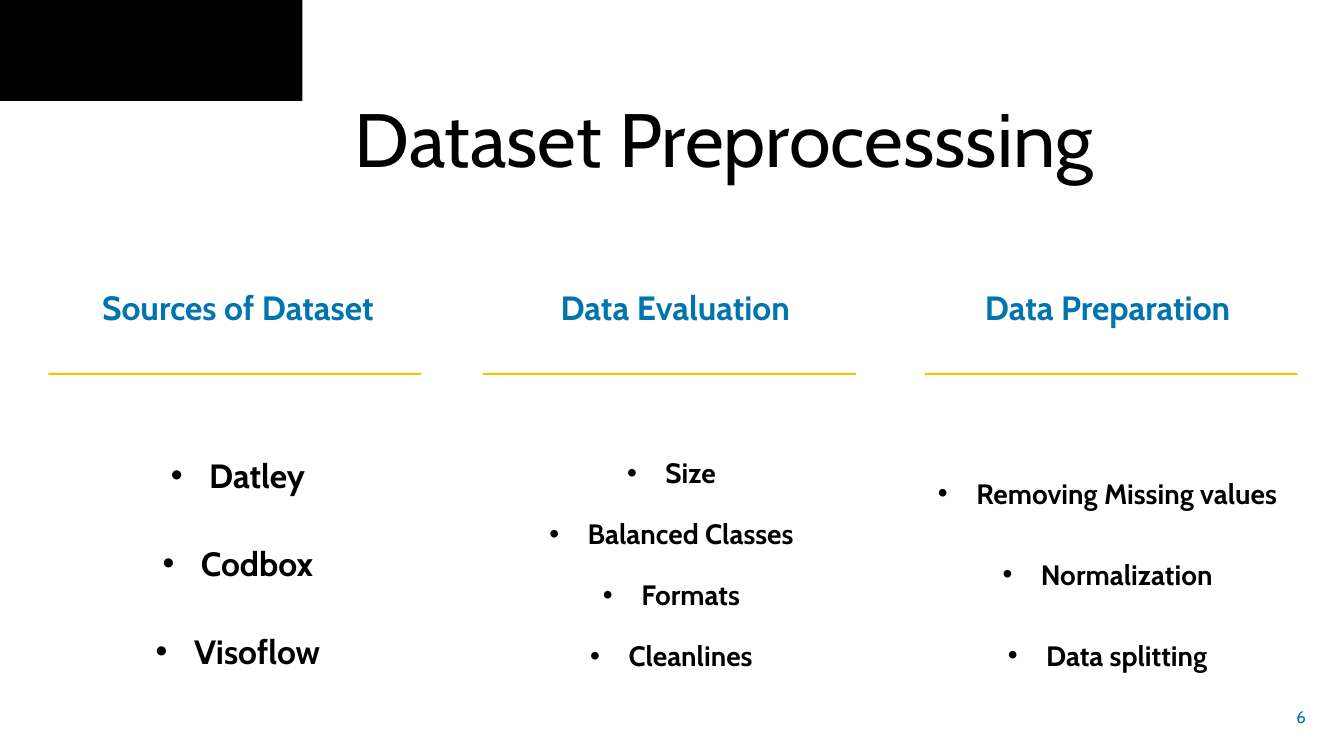
import math
from lxml import etree
from pptx import Presentation
from pptx import util as u
from pptx.dml.color import RGBColor
from pptx.enum import shapes, text
from pptx.oxml import ns

BLACK = RGBColor(0x00, 0x00, 0x00)
BLUE = RGBColor(0x00, 0x74, 0xAF)
GOLD = RGBColor(0xFF, 0xC0, 0x00)
FONT = "Cabin"


def write(paragraph, words, size, color, bold, formats):
    run = paragraph.add_run()
    run.text = words
    run.font.color.rgb = color
    for name, value in {"name": FONT, "size": u.Pt(size), "bold": bold}.items():
        setattr(run.font, name, value)
    for name, value in formats.items():
        setattr(paragraph, name, value)


def set_bullet(paragraph, indent, character=None):
    properties = paragraph._p.get_or_add_pPr()
    properties.set("marL", str(u.Inches(indent)))
    properties.set("indent", str(u.Inches(-indent)))
    if character:
        etree.SubElement(properties, ns.qn("a:buChar")).set("char", character)
    else:
        etree.SubElement(properties, ns.qn("a:buNone"))


presentation = Presentation()
presentation.slide_width = u.Inches(13.33)
presentation.slide_height = u.Inches(7.5)
slide = presentation.slides.add_slide(presentation.slide_layouts[4])

arc = [
    (1.645 + 1.505 * math.cos(math.pi * step / 90), 1.49 * math.sin(math.pi * step / 90))
    for step in range(91)
]
builder = slide.shapes.build_freeform(*arc[0], scale=u.Inches(1))
builder.add_line_segments(arc[1:], close=True)
half_disc = builder.convert_to_shape()
half_disc.shadow.inherit = False
half_disc.fill.solid()
half_disc.fill.fore_color.rgb = BLACK
half_disc.line.fill.background()

title = slide.shapes.title
title_box = {"left": 3.42, "top": 0.86, "width": 8.16, "height": 1.01}
for name, value in title_box.items():
    setattr(title, name, u.Inches(value))
title.text_frame.vertical_anchor = text.MSO_ANCHOR.TOP
title.text_frame.auto_size = text.MSO_AUTO_SIZE.NONE
write(title.text_frame.paragraphs[0], "Dataset Preprocesssing", 54, BLACK, False,
      {"alignment": text.PP_ALIGN.LEFT})

columns = [
    {"box": (0.33, 4.06, 3.91), "rule": 0.48, "heading": "Sources of Dataset",
     "items": ["Datley", "Codbox", "Visoflow"], "size": 24, "after": 24, "spacing": [0.9, 1, 1]},
    {"box": (4.56, 4.2, 3.92), "rule": 4.79, "heading": " Data Evaluation",
     "items": ["Size", "Balanced Classes", "Formats", "Cleanlines"],
     "size": 20, "after": 12, "spacing": [0.9] * 4},
    {"box": (8.92, 4.13, 3.85), "rule": 9.17, "heading": "Data Preparation",
     "items": ["Removing Missing values", "Normalization", "Data splitting"],
     "size": 20, "after": 12, "spacing": [1.5] * 3},
]
for index, column in enumerate(columns, start=1):
    body = slide.placeholders[index]
    left, width, height = column["box"]
    body_box = {"left": left, "top": 2.84, "width": width, "height": height}
    for name, value in body_box.items():
        setattr(body, name, u.Inches(value))
    frame = body.text_frame
    frame.vertical_anchor = text.MSO_ANCHOR.TOP
    frame.auto_size = text.MSO_AUTO_SIZE.NONE

    heading = frame.paragraphs[0]
    write(heading, column["heading"], 24, BLUE, True, {
        "alignment": text.PP_ALIGN.CENTER, "line_spacing": 0.9,
        "space_before": u.Pt(10), "space_after": u.Pt(84)})
    set_bullet(heading, 0)
    for words, spacing in zip(column["items"], column["spacing"]):
        item = frame.add_paragraph()
        write(item, words, column["size"], BLACK, True, {
            "alignment": text.PP_ALIGN.CENTER, "line_spacing": float(spacing),
            "space_before": u.Pt(10), "space_after": u.Pt(column["after"])})
        set_bullet(item, 0.38, "•")

    rule = slide.shapes.add_shape(
        shapes.MSO_SHAPE.RECTANGLE,
        u.Inches(column["rule"]), u.Inches(3.7), u.Inches(3.7), u.Inches(0.02))
    rule.shadow.inherit = False
    rule.fill.solid()
    rule.fill.fore_color.rgb = GOLD
    rule.line.fill.background()

unused = slide.placeholders[4].element
unused.getparent().remove(unused)

page_number = slide.shapes.add_textbox(
    u.Inches(12.5), u.Inches(6.91), u.Inches(0.55), u.Inches(0.4))
page_number.text_frame.word_wrap = True
page_number.text_frame.vertical_anchor = text.MSO_ANCHOR.MIDDLE
write(page_number.text_frame.paragraphs[0], "6", 12, BLUE, False,
      {"alignment": text.PP_ALIGN.RIGHT})

presentation.save("out.pptx")
